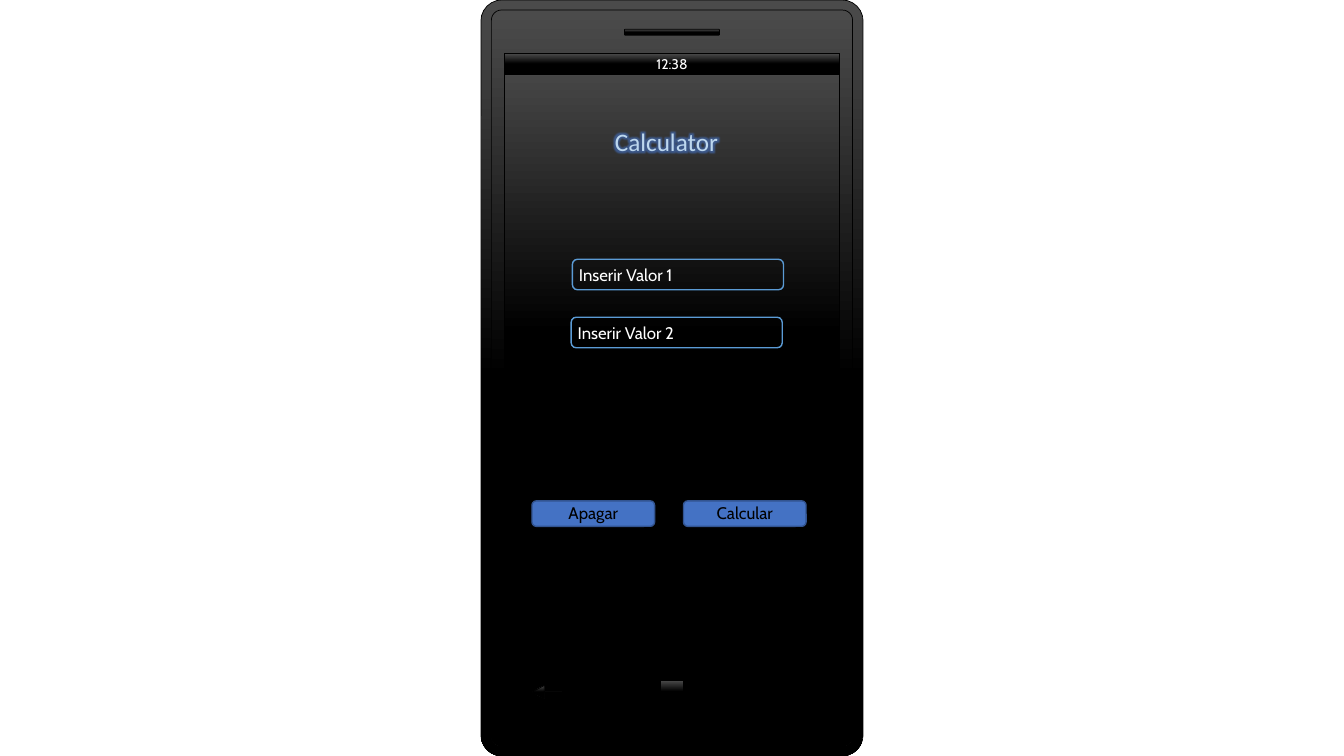
from lxml import etree
from pptx import Presentation
from pptx.dml.color import RGBColor
from pptx.enum.shapes import MSO_SHAPE
from pptx.enum.text import MSO_ANCHOR, PP_ALIGN
from pptx.oxml.ns import qn
from pptx.util import Pt

ROUND, RECT = MSO_SHAPE.ROUNDED_RECTANGLE, MSO_SHAPE.RECTANGLE
ARROW = MSO_SHAPE.LEFT_ARROW
LEFT, CENTER = PP_ALIGN.LEFT, PP_ALIGN.CENTER
MIDDLE = MSO_ANCHOR.MIDDLE
HEX = {"gray": "4B4B4B", "black": "000000", "white": "FFFFFF",
       "edge": "5B9BD5", "blue": "4472C4", "navy": "325491",
       "pale": "BDD7EE"}


def color(name):
    """Return the named colour."""
    return RGBColor.from_string(HEX[name])


def write(shape, text, size=12, font="Cabin", tint="white", align=LEFT,
          pads=(3.6, 1.8, 3.6, 1.8), wrap=True):
    """Put one formatted line of text in a shape and return its run."""
    frame = shape.text_frame
    frame.word_wrap = wrap
    frame.vertical_anchor = MIDDLE
    (frame.margin_left, frame.margin_top,
     frame.margin_right, frame.margin_bottom) = map(Pt, pads)
    para = frame.paragraphs[0]
    para.alignment = align
    run = para.add_run()
    run.text = text
    run.font.size = Pt(size)
    run.font.name = font
    run.font.color.rgb = color(tint)
    return run


def draw(slide, kind, box, fill=None, line="black", width=0.5, adj=()):
    """Add a preset shape; the fill is 'fade', a colour name or None."""
    shape = slide.shapes.add_shape(kind, *map(Pt, box))
    shape.shadow.inherit = False
    for i, value in enumerate(adj):
        shape.adjustments[i] = value
    if fill == "fade":
        shape.fill.gradient()
        shape.fill.gradient_angle = 270
        ends = ((0, "gray"), (0.5, "black"))
        for stop, (place, name) in zip(shape.fill.gradient_stops, ends):
            stop.position = place
            stop.color.rgb = color(name)
    elif fill:
        shape.fill.solid()
        shape.fill.fore_color.rgb = color(fill)
    else:
        shape.fill.background()
    shape.line.color.rgb = color(line)
    shape.line.width = Pt(width)
    return shape


def phone(slide, x, y, w, h):
    """Draw the handset with its screen, speaker, keys and status bar."""
    draw(slide, ROUND, (x, y, w, h), "fade", adj=[0.055])
    draw(slide, ROUND, (x + 7.5, y + 7.2, w - 15, h - 14.4), "fade",
         adj=[0.028])
    side, top = 17, y + 38.2
    wide = w - 2 * side
    draw(slide, RECT, (x + side, top, wide, 399.6), "fade")
    draw(slide, ARROW, (x + 36.7, y + 489.6, 21.6, 9.4), "fade",
         adj=[0, 0.912])
    draw(slide, RECT, (x + w / 2 - 8, y + 486, 16, 16), "fade")
    draw(slide, ROUND, (x + w / 2 - 34, y + 20.9, 68, 4.3), "fade")
    bar = draw(slide, RECT, (x + side, top, wide, 14.8), "fade")
    write(bar, "12:38", size=10, align=CENTER, pads=[3.6] * 4)


def fields(slide, x, y, w, h):
    """Stack the two input fields in the box."""
    tall = 21.8
    for i, shift in enumerate((0.9, 0)):
        box = (x + shift, y + i * (h - tall), w, tall)
        field = draw(slide, ROUND, box, line="edge", width=1)
        write(field, f"Inserir Valor {i + 1}", wrap=False)


def buttons(slide, x, y, w, h):
    """Set the two buttons at either end of the box."""
    wide = 87.6
    for i, text in enumerate(("Apagar", "Calcular")):
        box = (x + i * (w - wide), y, wide, h)
        button = draw(slide, ROUND, box, "blue", "navy", 1)
        write(button, text, tint="black", align=CENTER,
              pads=(7.2, 0, 7.2, 0.7))


def heading(slide, x, y, w, h):
    """Place the glowing title in front of the phone."""
    title = slide.shapes.title
    title.left, title.top, title.width, title.height = map(Pt, (x, y, w, h))
    slide.shapes._spTree.append(title._element)
    run = write(title, "Calculator", size=18, font="Calibri", tint="pale",
                pads=(7.2, 3.6, 7.2, 3.6), wrap=False)
    props = run._r.get_or_add_rPr()
    effect = etree.Element(qn("a:effectLst"))
    glow = etree.SubElement(effect, qn("a:glow"), rad=str(Pt(5)))
    tone = etree.SubElement(glow, qn("a:srgbClr"), val=HEX["blue"])
    etree.SubElement(tone, qn("a:alpha"), val="60000")
    props.find(qn("a:solidFill")).addnext(effect)


def main():
    """Build the calculator slide and save it."""
    deck = Presentation()
    deck.slide_width, deck.slide_height = Pt(960), Pt(540)
    slide = deck.slides.add_slide(deck.slide_layouts[5])
    phone(slide, 343.5, 0, 273, 540)
    fields(slide, 408, 185.2, 150.8, 63.2)
    buttons(slide, 380, 357.8, 195.8, 18.2)
    heading(slide, 432, 86.6, 89.3, 29)
    deck.save("out.pptx")


main()
